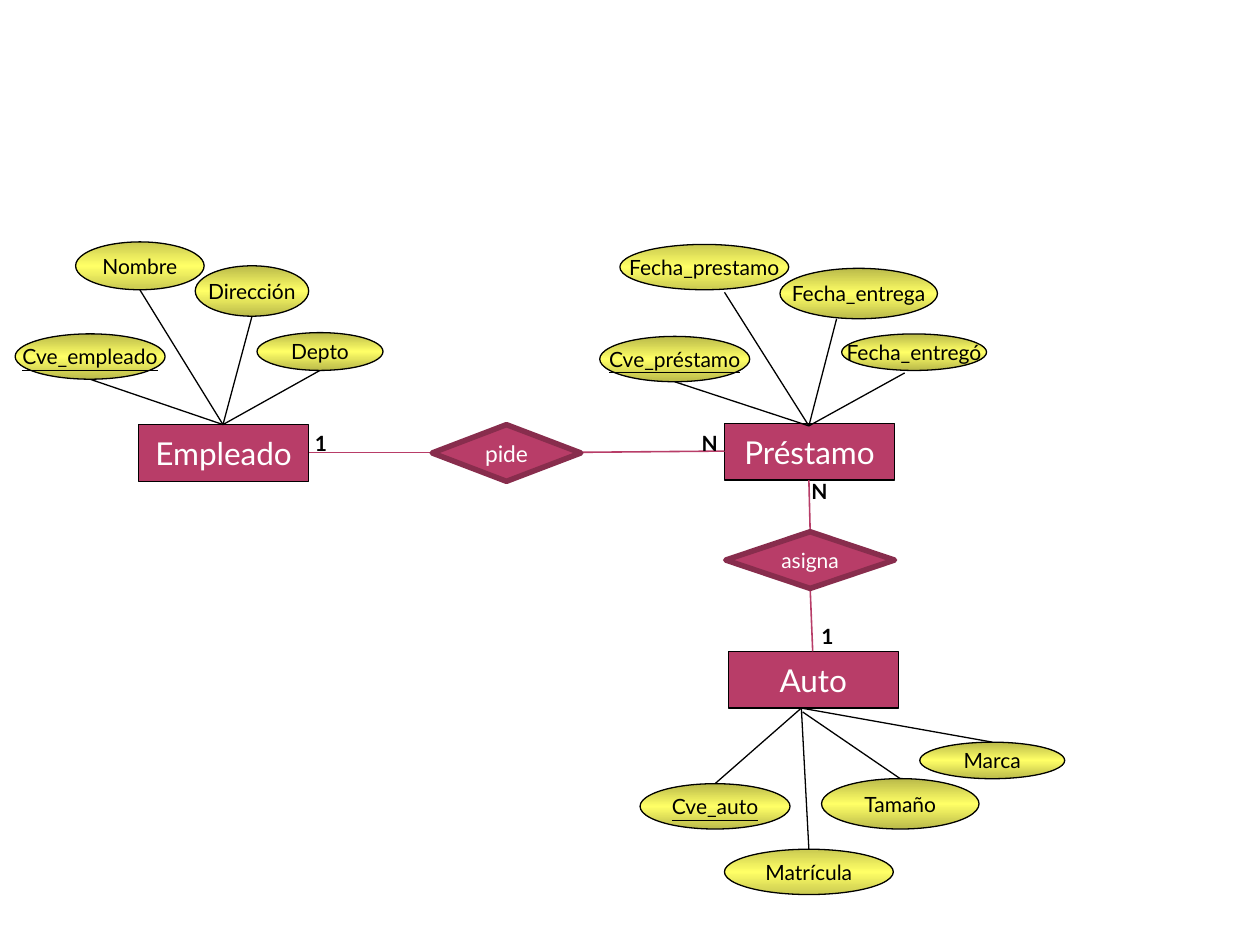
import copy
import dataclasses
import typing

import pptx
import pptx.dml.color
import pptx.enum.shapes
import pptx.enum.text
import pptx.oxml.ns
import pptx.util
from lxml import etree

Inches = pptx.util.Inches
Shapes = pptx.enum.shapes.MSO_SHAPE

BERRY, DARK_BERRY = "B83D68", "882D4D"
BLACK, WHITE, YELLOW = "000000", "FFFFFF", "FFFF66"
OLIVE, LIGHT_OLIVE = "BABA4A", "CACA51"
ENTITY_WIDTH, ENTITY_HEIGHT = 1.35, 0.45


@dataclasses.dataclass
class Attribute:
    """An oval, placed from the corner of its entity; hub and tip override its line's ends."""
    name: str
    left: float
    top: float
    width: float
    height: float
    shade: str = OLIVE
    key: bool = False
    hub: typing.Optional[tuple] = None
    tip: typing.Optional[tuple] = None


def color(value):
    """Turn a hex string into a colour."""
    return pptx.dml.color.RGBColor.from_string(value)


def write(shape, text, size, ink, bold=False, underline=False):
    """Put one formatted line of text in a shape."""
    shape.text_frame.text = text
    font = shape.text_frame.paragraphs[0].runs[0].font
    font.name, font.size = "Lato", pptx.util.Pt(size)
    font.bold, font.underline = bold, underline
    font.color.rgb = color(ink)


def add_node(page, kind, box, text, size, ink, outline, weight, underline=False):
    """Add an outlined shape with centred text; its fill is berry."""
    shape = page.shapes.add_shape(kind, *map(Inches, box))
    shape.shadow.inherit = False
    shape.fill.solid()
    shape.fill.fore_color.rgb = color(BERRY)
    shape.line.color.rgb = color(outline)
    shape.line.width = pptx.util.Pt(weight)
    write(shape, text, size, ink, underline=underline)
    frame = shape.text_frame
    frame.word_wrap = False
    frame.margin_left = frame.margin_right = frame.margin_top = frame.margin_bottom = 0
    frame.vertical_anchor = pptx.enum.text.MSO_ANCHOR.MIDDLE
    frame.paragraphs[0].alignment = pptx.enum.text.PP_ALIGN.CENTER
    return shape


def shade_oval(shape, edge):
    """Fill a shape with a vertical gradient that is yellow in the middle."""
    shape.fill.gradient()
    shape.fill.gradient_angle = 270
    stops = shape._element.spPr.find(".//" + pptx.oxml.ns.qn("a:gsLst"))
    stops.insert(1, copy.deepcopy(stops[0]))
    for stop, position, value in zip(shape.fill.gradient_stops, (0, 0.5, 1), (edge, YELLOW, edge)):
        stop.position = position
        stop.color.rgb = color(value)


def add_line(page, start, end, ink, weight):
    """Draw a straight line between two points."""
    line = page.shapes.add_connector(
        pptx.enum.shapes.MSO_CONNECTOR.STRAIGHT, *map(Inches, (*start, *end)))
    line.line.color.rgb = color(ink)
    line.line.width = pptx.util.Pt(weight)
    etree.SubElement(line._element.spPr, pptx.oxml.ns.qn("a:effectLst"))


def add_entity(page, left, top, name, hub, attributes):
    """Draw an entity and its attributes, joined to the hub."""
    add_node(page, Shapes.RECTANGLE, (left, top, ENTITY_WIDTH, ENTITY_HEIGHT),
             name, 18, WHITE, BLACK, 0.75)
    for item in attributes:
        near_edge = item.top + item.height if item.top < 0 else item.top
        tip = item.tip or (item.left + item.width / 2, near_edge)
        start = item.hub or hub
        add_line(page, (left + start[0], top + start[1]),
                 (left + tip[0], top + tip[1]), BLACK, 0.75)
    for item in attributes:
        oval = add_node(page, Shapes.OVAL, (left + item.left, top + item.top, item.width, item.height),
                        item.name, 12, BLACK, BLACK, 0.75, item.key)
        shade_oval(oval, item.shade)


def add_relation(page, box, name, size, links):
    """Draw a relationship diamond and the lines that reach it."""
    for start, end in links:
        add_line(page, start, end, BERRY, 0.9)
    add_node(page, Shapes.DIAMOND, box, name, size, WHITE, DARK_BERRY, 3.15)


def add_cardinality(page, left, top, text):
    """Write a bold cardinality mark."""
    label = page.shapes.add_textbox(*map(Inches, (left, top, 0.31, 0.3)))
    write(label, text, 12, BLACK, bold=True)
    label.text_frame.word_wrap = True


deck = pptx.Presentation()
deck.slide_width, deck.slide_height = Inches(10), Inches(7.5)
page = deck.slides.add_slide(deck.slide_layouts[6])

add_entity(page, 1.1, 3.37, "Empleado", (0.67, 0), [
    Attribute("Cve_empleado", -0.98, -0.72, 1.19, 0.36, key=True),
    Attribute("Nombre", -0.5, -1.45, 1.02, 0.38, LIGHT_OLIVE),
    Attribute("Dirección", 0.45, -1.26, 0.9, 0.4),
    Attribute("Depto", 0.94, -0.73, 1, 0.3),
])
add_entity(page, 5.75, 3.36, "Préstamo", (0.67, 0.02), [
    Attribute("Cve_préstamo", -0.99, -0.69, 1.19, 0.36, key=True),
    Attribute("Fecha_prestamo", -0.83, -1.42, 1.34, 0.36, LIGHT_OLIVE, tip=(0, -1.04)),
    Attribute("Fecha_entrega", 0.44, -1.23, 1.25, 0.4, tip=(0.89, -0.83)),
    Attribute("Fecha_entregó", 0.93, -0.71, 1.15, 0.29, tip=(1.43, -0.4)),
])
add_entity(page, 5.78, 5.17, "Auto", (0.58, 0.45), [
    Attribute("Cve_auto", -0.7, 1.05, 1.19, 0.36, key=True),
    Attribute("Matrícula", -0.03, 1.57, 1.34, 0.36, LIGHT_OLIVE),
    Attribute("Tamaño", 0.74, 1.01, 1.25, 0.4, hub=(0.59, 0.48)),
    Attribute("Marca", 1.52, 0.72, 1.15, 0.29),
])

add_relation(page, (3.43, 3.37, 1.18, 0.45), "pide", 13,
             [((2.45, 3.59), (3.43, 3.59)), ((4.61, 3.59), (5.75, 3.58))])
add_relation(page, (5.76, 4.22, 1.34, 0.45), "asigna", 12,
             [((6.42, 3.81), (6.43, 4.22)), ((6.43, 4.67), (6.45, 5.17))])

for left, top, text in [(2.4, 3.37, "1"), (5.47, 3.37, "N"), (6.34, 3.75, "N"), (6.42, 4.9, "1")]:
    add_cardinality(page, left, top, text)

deck.save("out.pptx")
